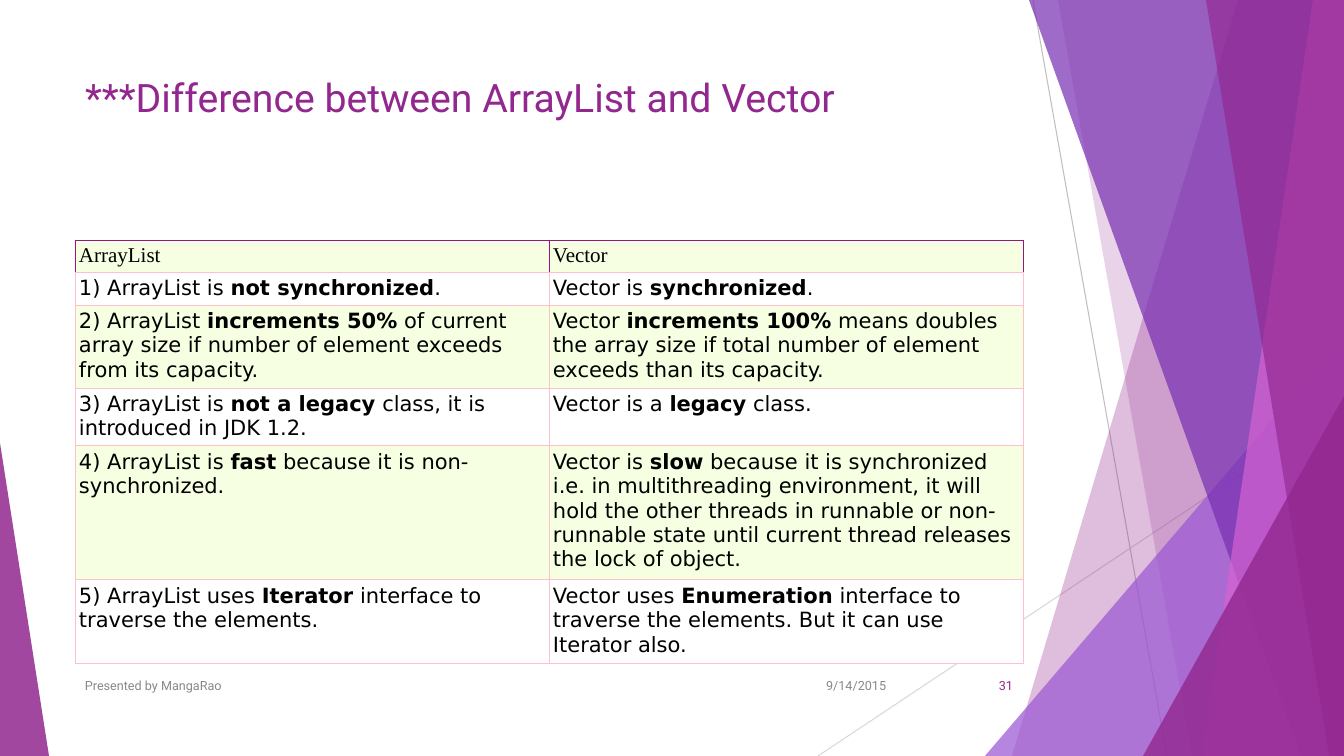
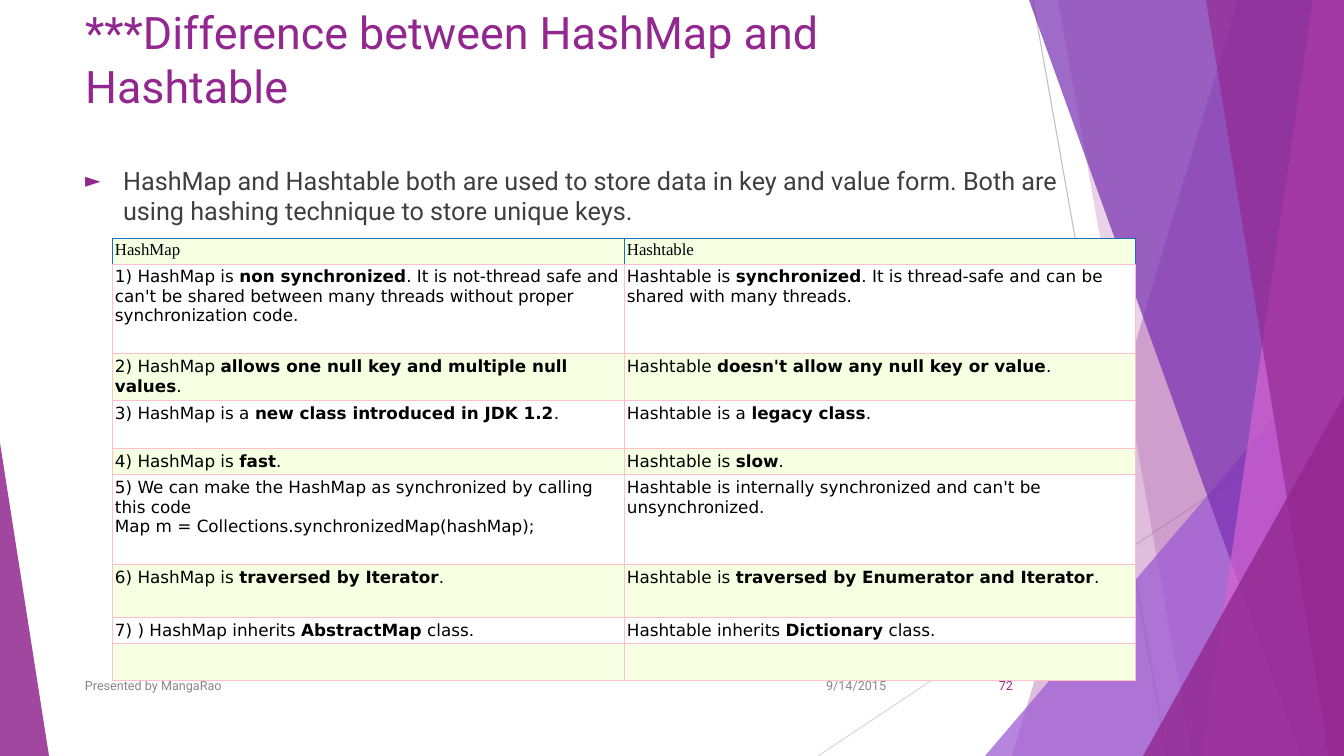
import dataclasses

import lxml.etree
import pptx
import pptx.dml.color
import pptx.enum.shapes
import pptx.enum.text
import pptx.oxml.ns
import pptx.util

EMU_PER_PX = 914400 / 100.8
SLIDE_W, SLIDE_H = 1344, 756
LEFT, CONTENT_W = 75, 948

qn = pptx.oxml.ns.qn
rgb = pptx.dml.color.RGBColor.from_string
Align = pptx.enum.text.PP_ALIGN
Anchor = pptx.enum.text.MSO_ANCHOR
Shape = pptx.enum.shapes.MSO_SHAPE


@dataclasses.dataclass(frozen=True)
class Theme:
    purple: str = "92278F"
    violet: str = "9B57D3"
    indigo: str = "762EB1"
    pink: str = "D663D2"
    text: str = "3F3F3F"
    muted: str = "888888"
    black: str = "000000"
    steep_line: str = "BFBFBF"
    flat_line: str = "D8D8D8"
    row_fills: tuple = ("F6FFE1", "FFFFFF")
    cell_border: str = "FFC0CB"
    font: str = "Roboto"
    header_font: str = "Times New Roman"
    cell_font: str = "DejaVu Sans"
    body_size: int = 18
    footer_size: int = 9
    hairline: float = 0.75


THEME = Theme()


@dataclasses.dataclass(frozen=True)
class Box:
    x: int
    y: int
    w: int
    h: int

    def emu(self):
        return [px(v) for v in (self.x, self.y, self.w, self.h)]

    def inner(self, dx, dy, w, h):
        return Box(self.x + dx, self.y + dy, w, h)


def px(value):
    return pptx.util.Emu(round(value * EMU_PER_PX))


def assign(target, values):
    for name, value in values.items():
        setattr(target, name, value)


def set_font(font, name, size, color, bold=False):
    assign(font, {"name": name, "size": pptx.util.Pt(size), "bold": bold})
    font.color.rgb = rgb(color)


def move(shape, box):
    assign(shape, dict(zip(("left", "top", "width", "height"), box.emu())))


def write_line(shape, text, size, color, align=Align.LEFT, anchor=Anchor.TOP):
    """Write one Roboto paragraph into a text box or placeholder."""
    tf = shape.text_frame
    assign(tf, {
        "word_wrap": True,
        "auto_size": pptx.enum.text.MSO_AUTO_SIZE.NONE,
        "vertical_anchor": anchor,
    })
    p = tf.paragraphs[0]
    assign(p, {"alignment": align, "space_before": pptx.util.Pt(0)})
    r = p.add_run()
    r.text = text
    set_font(r.font, THEME.font, size, color)
    return p


def paint(sp, color, opacity):
    sp.shadow.inherit = False
    sp.line.fill.background()
    sp.fill.solid()
    sp.fill.fore_color.rgb = rgb(color)
    clr = sp.element.spPr.find(".//" + qn("a:srgbClr"))
    lxml.etree.SubElement(clr, qn("a:alpha"), val=str(opacity * 1000))


def add_facets(shapes, box):
    """Draw the translucent facets and two hairlines, back to front."""
    def hairline(x1, y1, x2, y2, color):
        ends = (box.x + x1, box.y + y1, box.x + x2, box.y + y2)
        line = shapes.add_connector(
            pptx.enum.shapes.MSO_CONNECTOR.STRAIGHT, *map(px, ends))
        line.line.color.rgb = rgb(color)
        line.line.width = pptx.util.Pt(THEME.hairline)
        lxml.etree.SubElement(line.element.spPr, qn("a:effectLst"))

    def band(top_x, bottom_x, color, opacity):
        right, bottom = box.x + box.w, box.y + box.h
        builder = shapes.build_freeform(box.x + top_x, box.y, EMU_PER_PX)
        builder.add_line_segments(
            [(right, box.y), (right, bottom), (box.x + bottom_x, bottom)])
        paint(builder.convert_to_shape(), color, opacity)

    def corner(x, w, h, apex, color, opacity):
        sp = shapes.add_shape(Shape.ISOSCELES_TRIANGLE,
                              *box.inner(x, box.h - h, w, h).emu())
        sp.adjustments[0] = apex
        paint(sp, color, opacity)

    hairline(1033, 0, 1167, 756, THEME.steep_line)
    hairline(1344, 406, 818, 756, THEME.flat_line)
    band(1238, 1012, THEME.purple, 30)
    band(1058, 1192, THEME.purple, 20)
    corner(985, 359, 420, 1, THEME.violet, 72)
    band(1029, 1301, THEME.indigo, 70)
    band(1313, 1202, THEME.pink, 70)
    band(1206, 1329, THEME.purple, 65)
    corner(1143, 201, 360, 1, THEME.purple, 80)
    corner(0, 49, 313, 0, THEME.purple, 85)


def decorate_master(prs, s):
    """Build the facets on a slide, then hand them to the slide master."""
    group = s.shapes.add_group_shape()
    add_facets(group.shapes, Box(0, 0, SLIDE_W, SLIDE_H))
    for number, props in enumerate(group.element.iter(qn("p:cNvPr")), 100):
        props.set("id", str(number))
    prs.slide_master.shapes[0].element.addprevious(group.element)


def add_title(s, box, text, size):
    move(s.shapes.title, box)
    write_line(s.shapes.title, text, size, THEME.purple)


def add_bullet(s, box, text):
    body = s.placeholders[1]
    move(body, box)
    p = write_line(body, text, THEME.body_size, THEME.text)
    pPr = p._p.get_or_add_pPr()
    indent = px(38)
    pPr.set("marL", str(indent))
    pPr.set("indent", str(-indent))
    color = lxml.etree.SubElement(pPr, qn("a:buClr"))
    lxml.etree.SubElement(color, qn("a:srgbClr"), val=THEME.purple)
    lxml.etree.SubElement(pPr, qn("a:buSzPct"), val="80000")
    lxml.etree.SubElement(pPr, qn("a:buFont"), typeface=THEME.cell_font)
    lxml.etree.SubElement(pPr, qn("a:buChar"), char="►")


def add_footer(s, box, number):
    for dx, w, text, color, align in (
        (0, 695, "Presented by MangaRao", THEME.muted, Align.LEFT),
        (720, 101, "9/14/2015", THEME.muted, Align.RIGHT),
        (box.w - 76, 76, number, THEME.purple, Align.RIGHT),
    ):
        tb = s.shapes.add_textbox(*box.inner(dx, 0, w, box.h).emu())
        write_line(tb, text, THEME.footer_size, color, align, Anchor.MIDDLE)


def add_border(cell, side, color):
    width = str(pptx.util.Pt(THEME.hairline))
    ln = lxml.etree.SubElement(cell._tc.get_or_add_tcPr(),
                               qn("a:ln" + side), w=width)
    fill = lxml.etree.SubElement(ln, qn("a:solidFill"))
    lxml.etree.SubElement(fill, qn("a:srgbClr"), val=color)


def write_cell(cell, text, font, size):
    """Write text whose **marked** stretches are bold."""
    p = cell.text_frame.paragraphs[0]
    for i, stretch in enumerate(text.split("**")):
        for n, line in enumerate(stretch.split("\n")):
            if n:
                p.add_line_break()
            if line:
                r = p.add_run()
                r.text = line
                set_font(r.font, font, size, THEME.black, bold=i % 2 == 1)


def add_comparison(s, box, rows, heights, size, margin, header_border):
    frame = s.shapes.add_table(len(rows), len(rows[0]), *box.emu())
    table = frame.table
    assign(table, {"first_row": False, "horz_banding": False})
    for column in table.columns:
        column.width = px(box.w / len(rows[0]))
    sides = ("left", "right", "top", "bottom")
    margins = {"margin_" + side: px(margin) for side in sides}
    for i, (texts, height) in enumerate(zip(rows, heights)):
        table.rows[i].height = px(height)
        font = THEME.cell_font if i else THEME.header_font
        edge = THEME.cell_border if i else header_border
        for j, text in enumerate(texts):
            cell = table.cell(i, j)
            assign(cell, margins)
            for side in "LRTB":
                add_border(cell, side,
                           THEME.cell_border if side == "B" else edge)
            cell.fill.solid()
            cell.fill.fore_color.rgb = rgb(THEME.row_fills[i % 2])
            write_cell(cell, text, font, size)


VECTOR_ROWS = [
    ("ArrayList", "Vector"),
    ("1) ArrayList is **not synchronized**.",
     "Vector is **synchronized**."),
    ("2) ArrayList **increments 50%** of current array size if number of "
     "element exceeds from its capacity.",
     "Vector **increments 100%** means doubles the array size if total "
     "number of element exceeds than its capacity."),
    ("3) ArrayList is **not a legacy** class, it is introduced in JDK 1.2.",
     "Vector is a **legacy** class."),
    ("4) ArrayList is **fast** because it is non-synchronized.",
     "Vector is **slow** because it is synchronized i.e. in multithreading "
     "environment, it will hold the other threads in runnable or "
     "non-runnable state until current thread releases the lock of object."),
    ("5) ArrayList uses **Iterator** interface to traverse the elements.",
     "Vector uses **Enumeration** interface to traverse the elements. "
     "But it can use Iterator also."),
]

HASH_ROWS = [
    ("HashMap", "Hashtable"),
    ("1) HashMap is **non synchronized**. It is not-thread safe and can't be "
     "shared between many threads without proper synchronization code.",
     "Hashtable is **synchronized**. It is thread-safe and can be shared "
     "with many threads."),
    ("2) HashMap **allows one null key and multiple null values**.",
     "Hashtable **doesn't allow any null key or value**."),
    ("3) HashMap is a **new class introduced in JDK 1.2**.",
     "Hashtable is a **legacy class**."),
    ("4) HashMap is **fast**.", "Hashtable is **slow**."),
    ("5) We can make the HashMap as synchronized by calling this code\n"
     "Map m = Collections.synchronizedMap(hashMap);",
     "Hashtable is internally synchronized and can't be unsynchronized."),
    ("6) HashMap is **traversed by Iterator**.",
     "Hashtable is **traversed by Enumerator and Iterator**."),
    ("7) ) HashMap inherits **AbstractMap** class.",
     "Hashtable inherits **Dictionary** class."),
    ("", ""),
]


def main():
    prs = pptx.Presentation()
    assign(prs, {"slide_width": px(SLIDE_W), "slide_height": px(SLIDE_H)})
    footer_box = Box(LEFT, 666, CONTENT_W, 40)

    s = prs.slides.add_slide(prs.slide_layouts[5])
    decorate_master(prs, s)
    add_title(s, Box(LEFT, 68, CONTENT_W, 145),
              "***Difference between ArrayList and Vector", 28)
    add_comparison(s, Box(LEFT, 240, CONTENT_W, 424), VECTOR_ROWS,
                   (32, 33, 83, 58, 134, 84), 15, 4, "981681")
    add_footer(s, footer_box, "31")

    s = prs.slides.add_slide(prs.slide_layouts[1])
    add_title(s, Box(LEFT, 0, CONTENT_W, 145),
              "***Difference between HashMap and Hashtable", 32)
    add_bullet(s, Box(LEFT, 160, 1040, 505),
               "HashMap and Hashtable both are used to store data in key and "
               "value form. Both are using hashing technique to store unique "
               "keys.")
    add_footer(s, footer_box, "72")
    add_comparison(s, Box(112, 238, 1024, 440), HASH_ROWS,
                   (26, 90, 47, 48, 26, 90, 53, 26, 34), 12, 3, "1870B9")

    prs.save("out.pptx")


if __name__ == "__main__":
    main()
